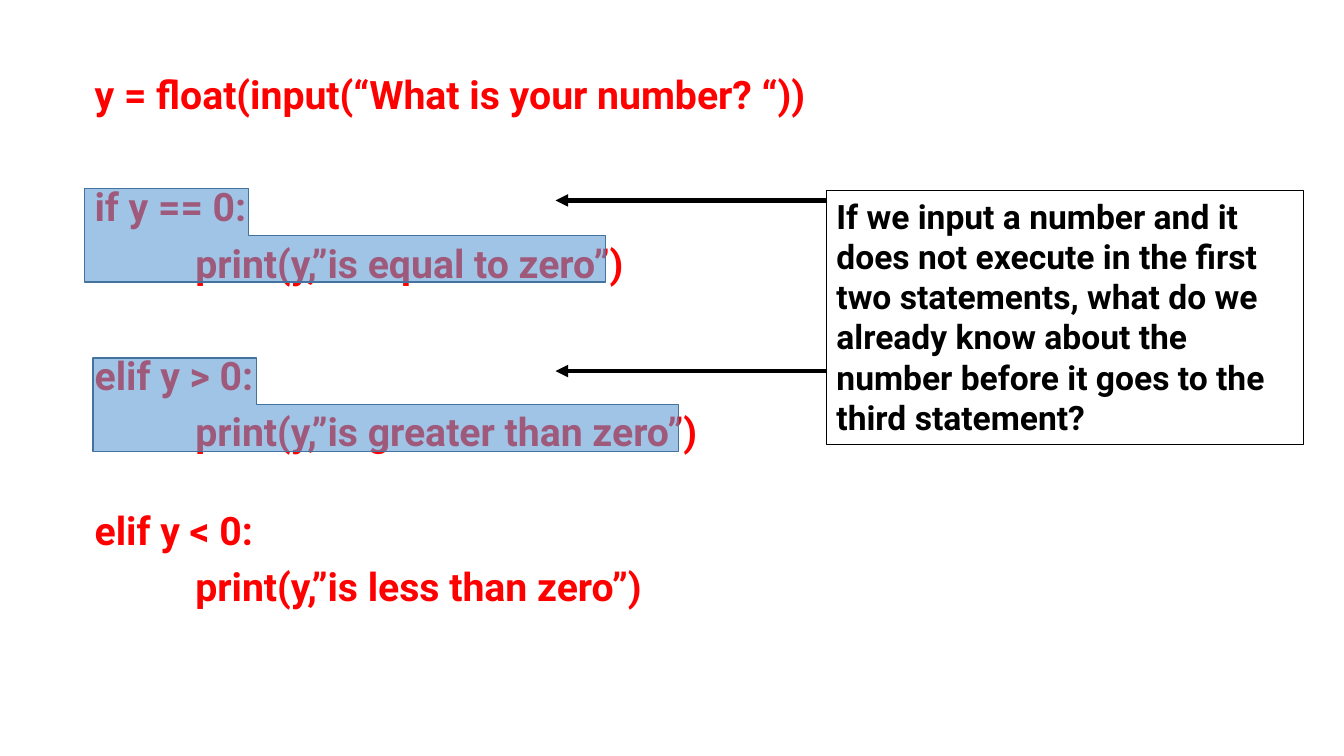
from dataclasses import dataclass

from lxml import etree
from pptx import Presentation
from pptx.dml.color import RGBColor
from pptx.enum.shapes import MSO_CONNECTOR, MSO_SHAPE
from pptx.enum.text import MSO_ANCHOR, MSO_AUTO_SIZE, PP_ALIGN
from pptx.oxml.ns import qn
from pptx.slide import Slide
from pptx.util import Cm, Pt

CORNER = MSO_SHAPE.CORNER
STRAIGHT = MSO_CONNECTOR.STRAIGHT
TOP = MSO_ANCHOR.TOP
LEFT = PP_ALIGN.LEFT
NO_AUTOFIT = MSO_AUTO_SIZE.NONE


@dataclass(frozen=True)
class Theme:
    font: str = "Roboto"
    code_size: float = 28
    question_size: float = 24
    code_color: RGBColor = RGBColor(0xFF, 0x00, 0x00)
    ink: RGBColor = RGBColor(0x00, 0x00, 0x00)
    highlight: RGBColor = RGBColor(0x5B, 0x9B, 0xD5)
    highlight_edge: RGBColor = RGBColor(0x43, 0x73, 0x9E)
    highlight_opacity: int = 58


@dataclass(frozen=True)
class CodeLine:
    text: str
    level: int = 0
    space_before: float = 10


@dataclass(frozen=True)
class Highlight:
    """Marks a branch of the code; lengths in centimetres."""
    left: float
    top: float
    width: float


THEME = Theme()
INDENT = Cm(2.54)
HIGHLIGHT_HEIGHT = 2.36
HIGHLIGHT_ARM = 1.75
ARROW_START, ARROW_END = 20.85, 14.0

CODE = [
    CodeLine("y = float(input(“What is your number? “))"),
    CodeLine("if y == 0:", space_before=50),
    CodeLine("print(y,”is equal to zero”)", level=1),
    CodeLine("elif y > 0:", space_before=50),
    CodeLine("print(y,”is greater than zero”)", level=1),
    CodeLine("elif y < 0:", space_before=40),
    CodeLine("print(y,”is less than zero”)", level=1),
]
QUESTION = (
    "If we input a number and it does not execute in the first two statements, "
    "what do we already know about the number before it goes to the third statement?"
)
HIGHLIGHTS = [Highlight(2.13, 4.75, 13.13), Highlight(2.34, 9.02, 14.76)]
ARROW_HEIGHTS = [5.05, 9.35]


def format_runs(paragraph, size: float, color: RGBColor) -> None:
    for run in paragraph.runs:
        run.font.name = THEME.font
        run.font.size = Pt(size)
        run.font.bold = True
        run.font.color.rgb = color


def add_code(slide: Slide) -> None:
    body = slide.placeholders[1]
    body.left, body.top, body.width, body.height = Cm(2.13), Cm(1.78), Cm(29.21), Cm(14.45)
    frame = body.text_frame
    frame.auto_size = NO_AUTOFIT
    frame.vertical_anchor = TOP
    frame.text = "\n".join(line.text for line in CODE)
    for paragraph, line in zip(frame.paragraphs, CODE):
        paragraph.alignment = LEFT
        paragraph.line_spacing = 0.9
        paragraph.space_before = Pt(line.space_before)
        format_runs(paragraph, THEME.code_size, THEME.code_color)
        # Indent without a bullet
        properties = paragraph._p.get_or_add_pPr()
        properties.set("marL", str(line.level * INDENT))
        properties.set("indent", "0")
        etree.SubElement(properties, qn("a:buNone"))


def add_question(slide: Slide) -> None:
    box = slide.shapes.add_textbox(Cm(20.83), Cm(4.8), Cm(12.01), Cm(6.4))
    box.line.color.rgb = THEME.ink
    box.line.width = Pt(0.75)
    frame = box.text_frame
    frame.word_wrap = True
    frame.text = QUESTION
    format_runs(frame.paragraphs[0], THEME.question_size, THEME.ink)


def add_highlight(slide: Slide, highlight: Highlight) -> None:
    shape = slide.shapes.add_shape(
        CORNER, Cm(highlight.left), Cm(highlight.top), Cm(highlight.width), Cm(HIGHLIGHT_HEIGHT)
    )
    shape.adjustments[0] = 0.5
    shape.adjustments[1] = HIGHLIGHT_ARM
    shape.shadow.inherit = False
    shape.fill.solid()
    shape.fill.fore_color.rgb = THEME.highlight
    shape.line.color.rgb = THEME.highlight_edge
    shape.line.width = Pt(1)
    # Let the code show through
    color = shape._element.spPr.find(qn("a:solidFill")).find(qn("a:srgbClr"))
    etree.SubElement(color, qn("a:alpha"), val=str(THEME.highlight_opacity * 1000))


def add_arrow(slide: Slide, height: float) -> None:
    arrow = slide.shapes.add_connector(
        STRAIGHT, Cm(ARROW_START), Cm(height), Cm(ARROW_END), Cm(height)
    )
    arrow.line.color.rgb = THEME.ink
    arrow.line.width = Pt(3)
    # Arrowhead at the code, no shadow
    etree.SubElement(arrow.line._get_or_add_ln(), qn("a:tailEnd"), type="triangle")
    etree.SubElement(arrow._element.spPr, qn("a:effectLst"))


def main() -> None:
    presentation = Presentation()
    presentation.slide_width, presentation.slide_height = Cm(33.87), Cm(19.05)
    slide = presentation.slides.add_slide(presentation.slide_layouts[1])
    # The slide has no title
    title = slide.shapes.title._element
    title.getparent().remove(title)

    add_code(slide)
    add_question(slide)
    for highlight in HIGHLIGHTS:
        add_highlight(slide, highlight)
    for height in ARROW_HEIGHTS:
        add_arrow(slide, height)
    presentation.save("out.pptx")


if __name__ == "__main__":
    main()
